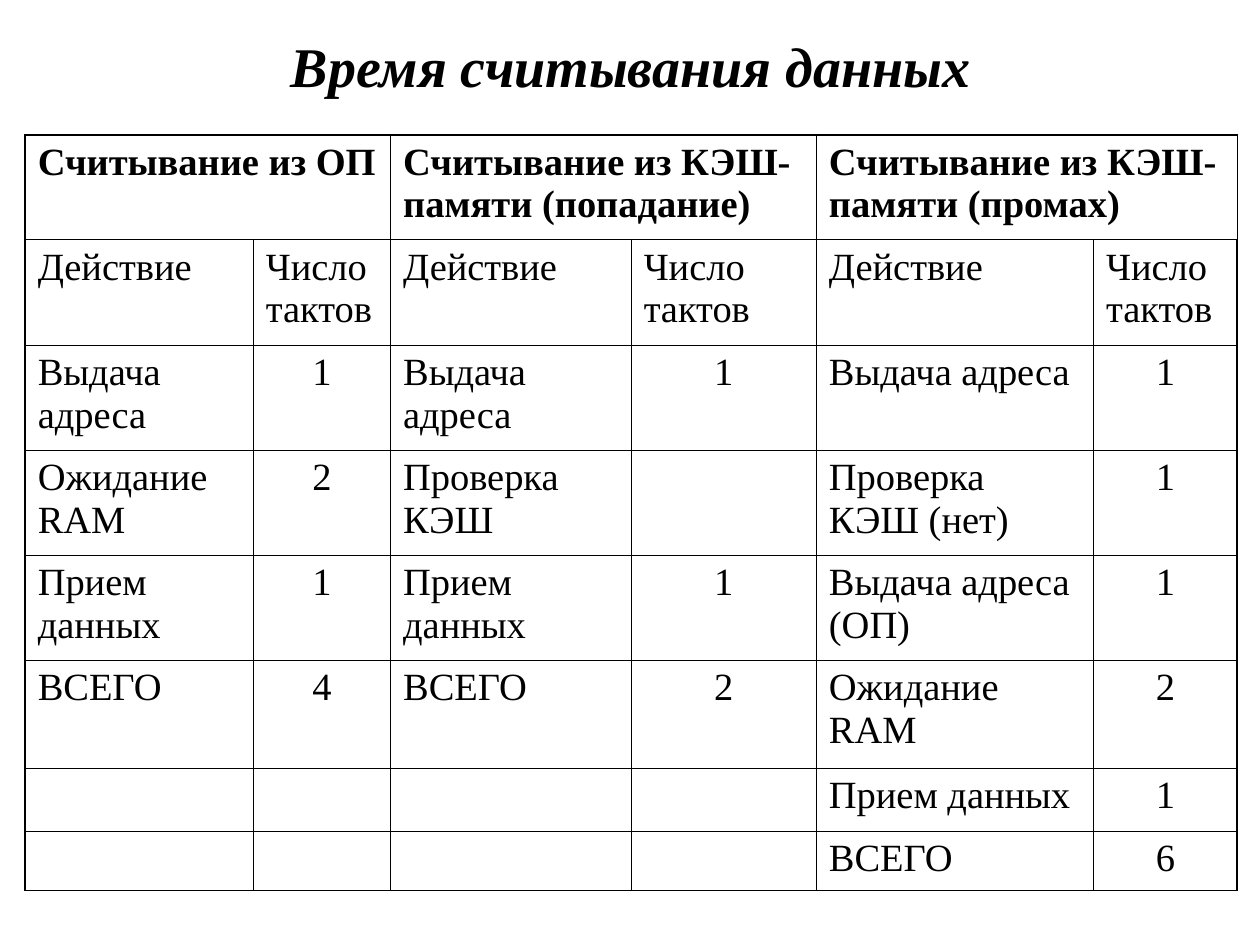
from dataclasses import dataclass

from lxml.etree import SubElement
from pptx import Presentation
from pptx.dml.color import RGBColor
from pptx.enum.text import MSO_ANCHOR as Anchor, PP_ALIGN as Align
from pptx.oxml.ns import qn
from pptx.slide import Slide
from pptx.util import Inches, Pt

CENTRED_COLUMNS = (1, 3, 5)
COLUMN_WIDTHS = (18.1, 10.9, 19.1, 14.7, 22, 11.4)
ROW_HEIGHTS = (8.3,) * 5 + (8.6, 5, 4.7)
TIMINGS = (
    ("Считывание из ОП", "", "Считывание из КЭШ-памяти (попадание)", "",
     "Считывание из КЭШ-памяти (промах)", ""),
    ("Действие", "Число\vтактов") * 3,
    ("Выдача адреса", "1") * 3,
    ("Ожидание RAM", "2", "Проверка КЭШ", "", "Проверка КЭШ (нет)", "1"),
    ("Прием данных", "1", "Прием данных", "1", "Выдача адреса (ОП)", "1"),
    ("ВСЕГО", "4", "ВСЕГО", "2", "Ожидание RAM", "2"),
    ("", "", "", "", "Прием данных", "1"),
    ("", "", "", "", "ВСЕГО", "6"),
)


def color(value):
    """Turn a hex string into a colour."""
    return RGBColor.from_string(value)


def grid(units):
    """Turn units of a 100 by 75 slide grid into a length."""
    return Inches(units / 10)


@dataclass
class Deck:
    """Style and current slide, with a method for each kind of element."""

    slide: Slide
    typeface: str = "Times New Roman"
    ink: str = "000000"
    inner_line: float = 0.45
    outer_line: float = 1.08

    def style(self, paragraph, size, bold=False, italic=False, align=Align.LEFT):
        """Set font and alignment of a paragraph."""
        paragraph.alignment = align
        font = paragraph.font
        font.name, font.size = self.typeface, Pt(size)
        font.bold, font.italic = bold, italic
        font.color.rgb = color(self.ink)

    def title(self, wording, left, top, width, height):
        """Add the centred slide heading."""
        box = self.slide.shapes.add_textbox(*map(grid, (left, top, width, height)))
        frame = box.text_frame
        frame.word_wrap = True
        frame.vertical_anchor = Anchor.MIDDLE
        frame.text = wording
        self.style(frame.paragraphs[0], 32, True, True, Align.CENTER)

    def border(self, cell, side, width):
        """Draw one side of a cell."""
        line = SubElement(cell._tc.get_or_add_tcPr(), qn(f"a:ln{side}"), w=str(Pt(width)))
        fill = SubElement(line, qn("a:solidFill"))
        SubElement(fill, qn("a:srgbClr"), val=self.ink)

    def table(self, left, top, widths, heights, rows):
        """Add a ruled table whose first row heads pairs of columns."""
        frame = self.slide.shapes.add_table(
            len(heights), len(widths), grid(left), grid(top),
            grid(sum(widths)), grid(sum(heights)))
        table = frame.table
        table.first_row = table.horz_banding = False
        for column, width in zip(table.columns, widths):
            column.width = grid(width)
        for row, height in zip(table.rows, heights):
            row.height = grid(height)
        last_row, last_column = len(heights) - 1, len(widths) - 1
        for r, row in enumerate(rows):
            for c, wording in enumerate(row):
                cell = table.cell(r, c)
                cell.text = wording
                paragraph = cell.text_frame.paragraphs[0]
                paragraph.space_before = Pt(5.5)
                centred = r > 1 and c in CENTRED_COLUMNS
                self.style(paragraph, 22, bold=r == 0,
                           align=Align.CENTER if centred else Align.LEFT)
                edges = {"L": c == 0, "R": c == last_column,
                         "T": r == 0, "B": r == last_row}
                for side, outer in edges.items():
                    self.border(cell, side, self.outer_line if outer else self.inner_line)
                cell.fill.background()
        for c in range(0, len(widths), 2):
            table.cell(0, c).merge(table.cell(0, c + 1))


def main():
    """Build and save the slide."""
    presentation = Presentation()
    presentation.slide_width, presentation.slide_height = grid(100), grid(75)
    deck = Deck(presentation.slides.add_slide(presentation.slide_layouts[6]))
    deck.title("Время считывания данных", 5.1, 1.7, 90, 6.9)
    deck.table(2, 10.7, COLUMN_WIDTHS, ROW_HEIGHTS, TIMINGS)
    presentation.save("out.pptx")


if __name__ == "__main__":
    main()
